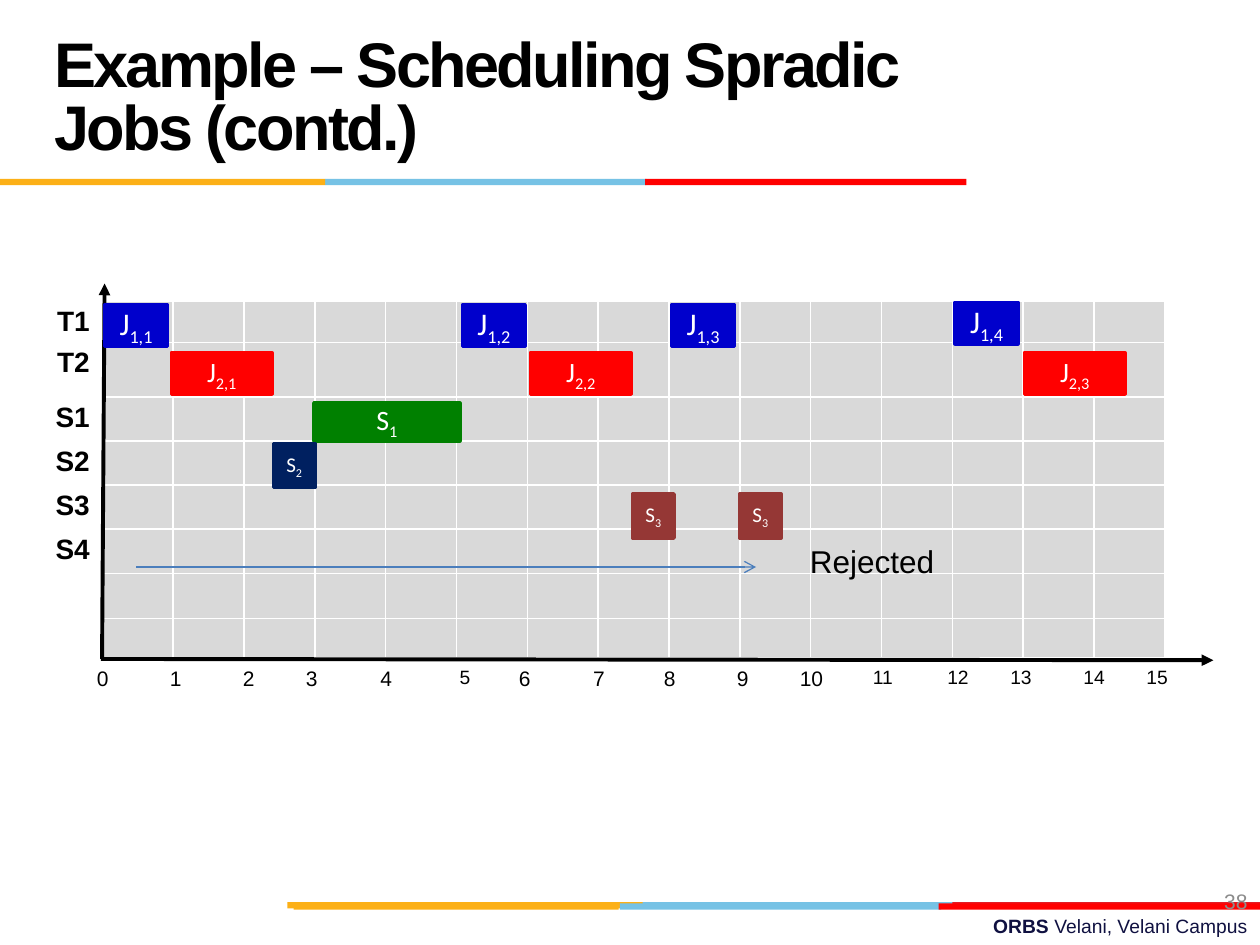
"""Build a slide that shows a schedule of periodic and sporadic jobs."""
from dataclasses import dataclass

from lxml.etree import SubElement as Sub
from pptx import Presentation
from pptx.dml.color import RGBColor as Rgb
from pptx.enum.shapes import MSO_CONNECTOR as Link, MSO_SHAPE as Form
from pptx.enum.text import MSO_ANCHOR as Anchor, MSO_AUTO_SIZE as Fit, PP_ALIGN as Align
from pptx.oxml.ns import qn
from pptx.util import Inches, Pt

HUES = {
    "black": "000000", "white": "FFFFFF", "grid": "D9D9D9", "navy": "101141",
    "page": "8C8C8C", "gold": "FCB017", "sky": "76C2E5", "rose": "E31C24",
    "red": "FF0000", "blue": "0000CC", "green": "008000", "deep": "002060",
    "brick": "953735", "arrow": "4B7EBC",
}
ROWS = [0.31, 0.33, 0.43, 0.35, 0.35, 0.35, 0.35, 0.36, 0.31, 0.34]
TASKS = ["T1", "T2", "S1", "S2", "S3", "S4"]
COLS, WIDE = 16, 9 / 16
TICKS = [0.67, 1.25, 1.83, 2.33, 2.92, 3.55, 4.02, 4.61, 5.17, 5.75, 6.25,
         6.83, 7.42, 7.92, 8.5, 9]
SMALL = {5, 11, 12, 13, 14, 15}


@dataclass
class Bar:
    left: float
    top: float
    width: float
    hue: str


@dataclass
class Kind:
    width: float
    height: float
    size: int
    hue: str


@dataclass
class Job:
    kind: Kind
    left: float
    top: float
    name: str
    sub: str


@dataclass
class Arrow:
    start: tuple[float, float]
    end: tuple[float, float]
    hue: str
    width: float
    head: str


FIRST = Kind(0.5, 0.33, 18, "blue")
SECOND = Kind(0.8, 0.33, 16, "red")
LONG = Kind(1.16, 0.3, 16, "green")
SHORT = Kind(0.33, 0.35, 12, "deep")
LATE = Kind(0.33, 0.35, 12, "brick")

BARS = [
    Bar(5.06, 7.16, 2.55, "sky"), Bar(7.56, 7.16, 2.44, "rose"),
    Bar(2.28, 7.16, 2.82, "gold"), Bar(4.92, 7.17, 2.55, "sky"),
    Bar(2.33, 7.17, 2.58, "gold"), Bar(7.45, 7.17, 2.55, "red"),
    Bar(2.58, 1.42, 2.55, "sky"), Bar(0, 1.42, 2.58, "gold"),
    Bar(5.12, 1.42, 2.55, "red"),
]
JOBS = [
    Job(FIRST, 0.83, 2.42, "J", "1,1"), Job(SECOND, 1.36, 2.8, "J", "2,1"),
    Job(FIRST, 3.67, 2.42, "J", "1,2"), Job(FIRST, 5.33, 2.42, "J", "1,3"),
    Job(SECOND, 4.21, 2.8, "J", "2,2"), Job(LONG, 2.49, 3.2, "S", "1"),
    Job(SHORT, 2.17, 3.52, "S", "2"), Job(LATE, 5.02, 3.92, "S", "3"),
    Job(LATE, 5.87, 3.92, "S", "3"), Job(FIRST, 7.58, 2.4, "J", "1,4"),
    Job(SECOND, 8.13, 2.8, "J", "2,3"),
]
AXES = [
    Arrow((0.81, 5.23), (0.83, 2.25), "black", 2.25, "triangle"),
    Arrow((0.8, 5.23), (9.63, 5.24), "black", 2.25, "triangle"),
]
WAIT = Arrow((1.08, 4.5), (6, 4.5), "arrow", 0.75, "arrow")


def tint(hue: str) -> Rgb:
    return Rgb.from_string(HUES[hue])


def apply(item, **form) -> None:
    for key, value in form.items():
        setattr(item, key, value)


def write(para, text: str, size: float, hue="black", face="Arial", bold=False):
    run = para.add_run()
    run.text = text
    apply(run.font, size=Pt(size), name=face, bold=bold)
    run.font.color.rgb = tint(hue)
    return run


def label(slide, place: tuple, wrap=False, align=Align.LEFT, anchor=Anchor.TOP):
    frame = slide.shapes.add_textbox(*map(Inches, place)).text_frame
    fit = Fit.NONE if wrap else Fit.SHAPE_TO_FIT_TEXT
    apply(frame, word_wrap=wrap, auto_size=fit, vertical_anchor=anchor)
    frame.paragraphs[0].alignment = align
    return frame.paragraphs[0]


def block(slide, place: tuple, hue: str):
    shape = slide.shapes.add_shape(Form.RECTANGLE, *map(Inches, place))
    shape.shadow.inherit = False
    shape.fill.solid()
    shape.fill.fore_color.rgb = tint(hue)
    shape.line.fill.background()
    return shape


def draw_bar(slide, bar: Bar) -> None:
    block(slide, (bar.left, bar.top, bar.width, 0.05), bar.hue)


def draw_job(slide, job: Job) -> None:
    kind = job.kind
    shape = block(slide, (job.left, job.top, kind.width, kind.height), kind.hue)
    shape.line.color.rgb = tint(kind.hue)
    shape.line.width = Pt(2)
    frame = shape.text_frame
    apply(frame, word_wrap=False, vertical_anchor=Anchor.MIDDLE)
    para = frame.paragraphs[0]
    para.alignment = Align.CENTER
    write(para, job.name, kind.size, "white", "Calibri")
    low = write(para, job.sub, kind.size, "white", "Calibri")
    low.font._element.set("baseline", "-25000")


def draw_arrow(slide, arrow: Arrow) -> None:
    ends = map(Inches, arrow.start + arrow.end)
    line = slide.shapes.add_connector(Link.STRAIGHT, *ends)
    line.line.color.rgb = tint(arrow.hue)
    line.line.width = Pt(arrow.width)
    Sub(line.line._get_or_add_ln(), qn("a:tailEnd"), type=arrow.head)
    Sub(line._element.spPr, qn("a:effectLst"))


def edge(cell) -> None:
    props = cell._tc.get_or_add_tcPr()
    for side in ("lnL", "lnR", "lnT", "lnB"):
        line = Sub(props, qn(f"a:{side}"), w=str(Pt(1)))
        Sub(Sub(line, qn("a:solidFill")), qn("a:srgbClr"), val=HUES["white"])


def draw_grid(slide) -> None:
    place = map(Inches, (0.25, 2.08, COLS * WIDE, sum(ROWS)))
    table = slide.shapes.add_table(len(ROWS), COLS, *place).table
    apply(table, first_row=False, horz_banding=False)
    for col in table.columns:
        col.width = Inches(WIDE)
    for y, high in enumerate(ROWS):
        table.rows[y].height = Inches(high)
        for x in range(COLS):
            cell = table.cell(y, x)
            apply(cell, margin_top=0, margin_bottom=0)
            edge(cell)
            if x and 0 < y < len(ROWS) - 1:
                cell.fill.solid()
                cell.fill.fore_color.rgb = tint("grid")
            else:
                cell.fill.background()
    for y, task in enumerate(TASKS, 1):
        cell = table.cell(y, 0)
        cell.margin_top = Inches(0.04)
        para = cell.text_frame.paragraphs[0]
        para.alignment = Align.RIGHT
        write(para, task, 16, bold=True)


def draw_title(slide) -> None:
    title = slide.shapes.title
    apply(title, left=Inches(0.33), top=Inches(0.17), width=Inches(6.92), height=Inches(1.25))
    frame = title.text_frame
    apply(frame, word_wrap=True, auto_size=Fit.NONE, vertical_anchor=Anchor.MIDDLE)
    para = frame.paragraphs[0]
    apply(para, alignment=Align.LEFT, line_spacing=Pt(36))
    run = write(para, "Example – Scheduling Spradic Jobs (contd.)", 36, bold=True)
    run.font._element.set("spc", "-150")


def main() -> None:
    deck = Presentation()
    apply(deck, slide_width=Inches(10), slide_height=Inches(7.5))
    slide = deck.slides.add_slide(deck.slide_layouts[5])
    foot = label(slide, (3.58, 7.21, 6.42, 0.29), True, Align.RIGHT)
    write(foot, "ORBS ", 11, "navy", bold=True)
    write(foot, "Velani, Velani Campus", 11, "navy")
    for bar in BARS:
        draw_bar(slide, bar)
    draw_title(slide)
    page = label(slide, (7.67, 6.95, 2.33, 0.4), True, Align.RIGHT, Anchor.MIDDLE)
    write(page, "38", 12, "page")
    draw_grid(slide)
    for axis in AXES:
        draw_arrow(slide, axis)
    for tick, left in enumerate(TICKS):
        wide = 0.29 if tick < 10 else 0.4
        write(label(slide, (left, 5.23, wide, 0.3)), str(tick), 11 if tick in SMALL else 12)
    for job in JOBS:
        draw_job(slide, job)
    write(label(slide, (6.33, 4.25, 1.2, 0.4)), "Rejected", 18)
    draw_arrow(slide, WAIT)
    deck.save("out.pptx")


if __name__ == "__main__":
    main()
